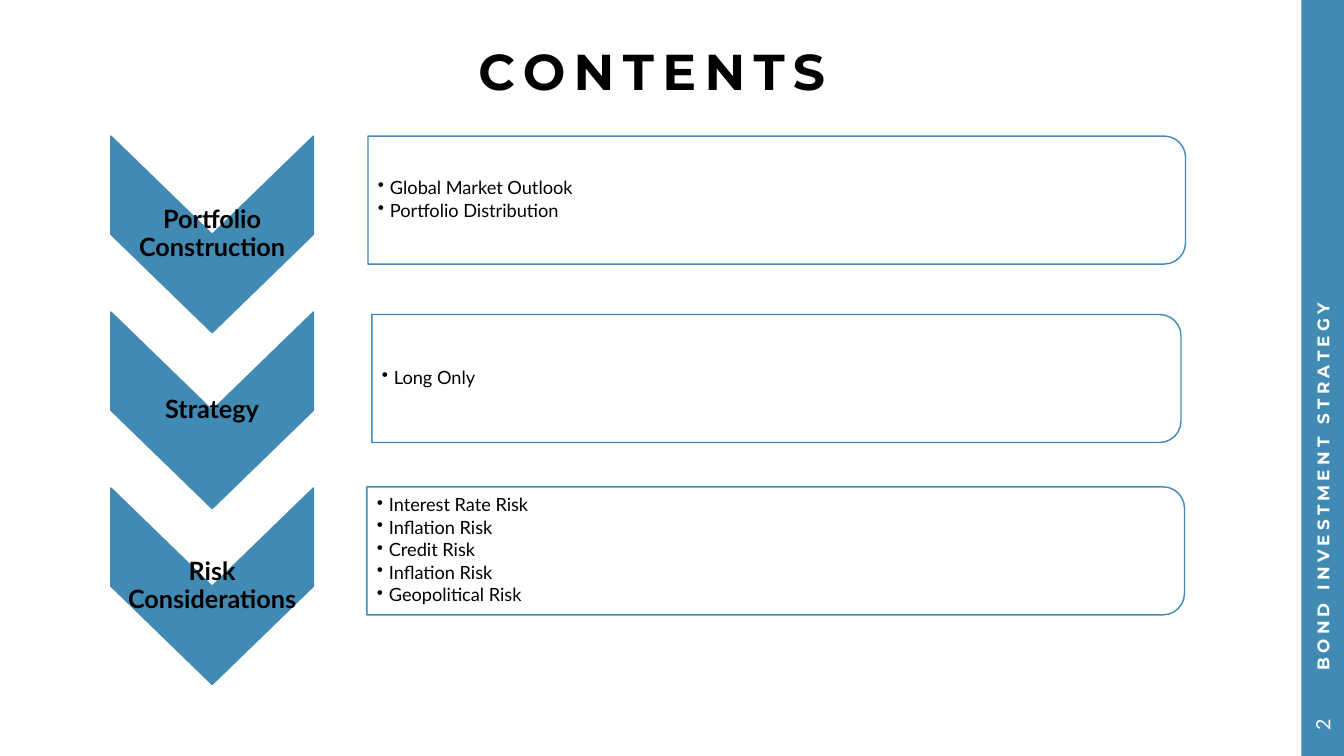
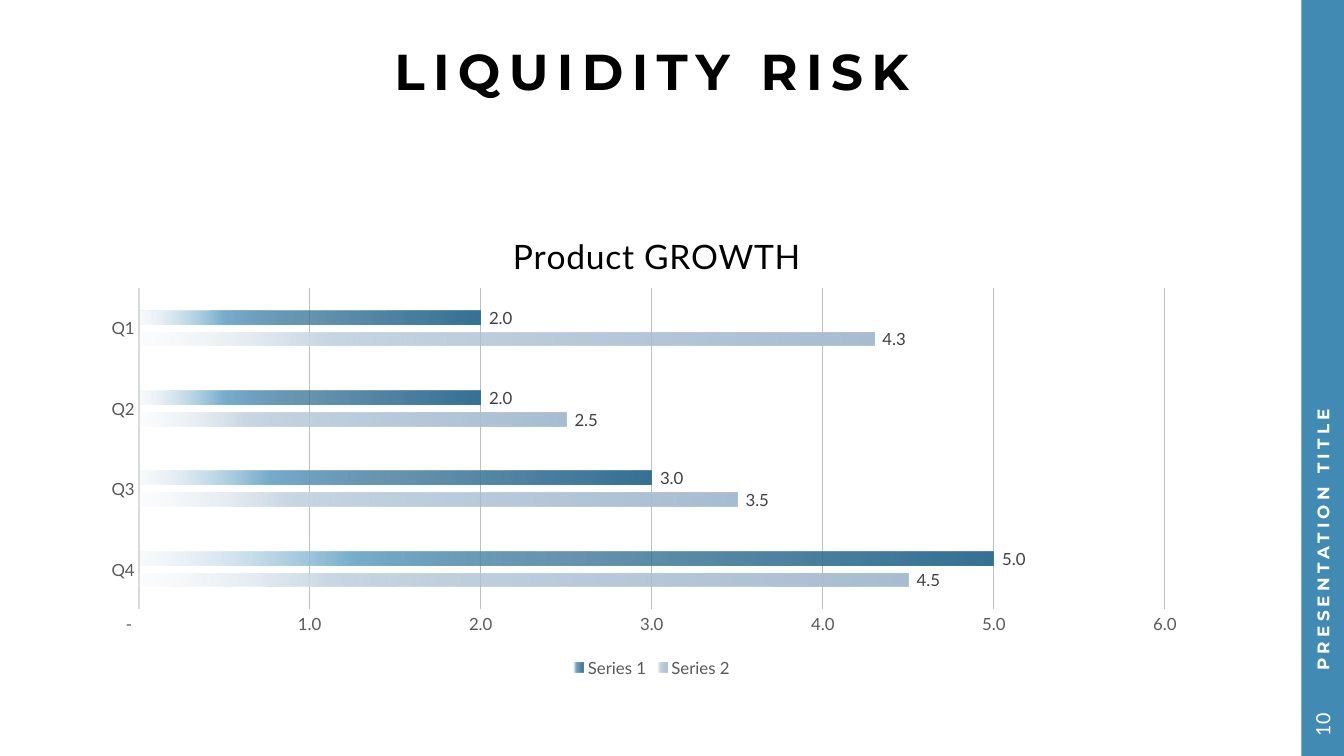
from dataclasses import dataclass
from typing import Any

import lxml.etree
import pptx
import pptx.chart.data
import pptx.dml.color
import pptx.enum.chart
import pptx.enum.shapes
import pptx.enum.text
import pptx.oxml.ns
import pptx.util

Align = pptx.enum.text.PP_ALIGN
Anchor = pptx.enum.text.MSO_ANCHOR
Preset = pptx.enum.shapes.MSO_SHAPE
ChartEnum = pptx.enum.chart
qn = pptx.oxml.ns.qn


@dataclass(frozen=True)
class Theme:
    accent: str = "418AB3"
    paper: str = "FFFFFF"
    ink: str = "000000"
    axis_text: str = "595959"
    label_text: str = "404040"
    axis_line: str = "D9D9D9"
    grid_line: str = "BFBFBF"
    heading: str = "Montserrat"
    body: str = "Lato"
    title_size: float = 36
    chart_title_size: float = 24
    label_size: float = 18
    number_size: float = 14
    bullet_size: float = 13
    small_size: float = 12


THEME = Theme()


@dataclass(frozen=True)
class Frame:
    """Percentages of the slide's width and height."""

    left: float
    top: float
    width: float
    height: float


@dataclass(frozen=True)
class TextStyle:
    font: str
    size: float
    color: str
    bold: bool = False
    spacing: float = 0
    align: Any = Align.LEFT
    line_spacing: float = 1.0
    space_after: float = 0
    bulleted: bool = False


@dataclass(frozen=True)
class Topic:
    label: str
    panel: Frame
    bullets: tuple[str, ...]


@dataclass(frozen=True)
class GradientStop:
    position: int
    color: str
    opacity: int = 100


@dataclass(frozen=True)
class BarSeries:
    name: str
    values: tuple[float, ...]
    stops: tuple[GradientStop, ...]


WIDTH, HEIGHT = pptx.util.Inches(13.333), pptx.util.Inches(7.5)
TITLE = Frame(7, 5.07, 83, 9.47)
BAND = Frame(96.83, 0, 3.17, 100)
FOOTER = Frame(96.83, 0, 3.15, 91.73)
NUMBER = Frame(96.83, 91.73, 3.15, 8.27)
CHART = Frame(7, 26.67, 83, 63.47)
CHEVRON = Frame(8.25, 18, 15.07, 26)
CHEVRON_PITCH = 23.27

TITLE_STYLE = TextStyle(THEME.heading, THEME.title_size, THEME.ink, True, 6, Align.CENTER, 0.9)
FOOTER_STYLE = TextStyle(THEME.heading, THEME.small_size, THEME.paper, True, 3)
NUMBER_STYLE = TextStyle(THEME.body, THEME.number_size, THEME.paper, align=Align.CENTER)
LABEL_STYLE = TextStyle(THEME.body, THEME.label_size, THEME.ink, True, 0, Align.CENTER, 0.9, 6.3)
BULLET_STYLE = TextStyle(THEME.body, THEME.bullet_size, THEME.ink,
                         line_spacing=0.9, space_after=2, bulleted=True)

TOPICS = (
    Topic("Portfolio Construction", Frame(27.38, 18, 60.83, 16.93),
          ("Global Market Outlook", "Portfolio Distribution")),
    Topic("Strategy", Frame(27.67, 41.6, 60.2, 16.93), ("Long Only",)),
    Topic("Risk Considerations", Frame(27.3, 64.4, 60.83, 16.93),
          ("Interest Rate Risk", "Inflation Risk", "Credit Risk", "Inflation Risk",
           "Geopolitical Risk")),
)

QUARTERS = ("Q4", "Q3", "Q2", "Q1")
NUMBER_FORMAT = '_(* #,##0.0_);_(* \\(#,##0.0\\);_(* "-"??_);_(@_)'


def fading(dark: str, middle: str, pale: str) -> tuple[GradientStop, ...]:
    return (GradientStop(0, dark), GradientStop(51, dark, 75),
            GradientStop(75, middle), GradientStop(100, pale, 15))


SERIES = (
    BarSeries("Series 2", (4.5, 3.5, 2.5, 4.3), fading("A7BED2", "CAD8E4", "EDF2F6")),
    BarSeries("Series 1", (5, 3, 2, 2), fading("367294", "78AFCE", "D2E4EF")),
)


def rgb(value: str) -> pptx.dml.color.RGBColor:
    return pptx.dml.color.RGBColor.from_string(value)


def apply(target: Any, values: dict[str, Any]) -> None:
    for name, value in values.items():
        setattr(target, name, value)


def set_font(font: Any, name: str, size: float, color: str, bold: bool = False) -> None:
    apply(font, {"name": name, "size": pptx.util.Pt(size), "bold": bold})
    font.color.rgb = rgb(color)


def add_element(parent: Any, tag: str, **attributes: Any) -> Any:
    return lxml.etree.SubElement(parent, qn(tag), {k: str(v) for k, v in attributes.items()})


def bounds(frame: Frame, turned: bool = False) -> tuple[int, int, int, int]:
    left, width = (round(WIDTH * share / 100) for share in (frame.left, frame.width))
    top, height = (round(HEIGHT * share / 100) for share in (frame.top, frame.height))
    if turned:
        left, top = left + (width - height) // 2, top + (height - width) // 2
        width, height = height, width
    return left, top, width, height


def draw_shape(page: Any, preset: Any, frame: Frame, fill: str,
               line: str | None = None, turned: bool = False) -> None:
    shape = page.shapes.add_shape(preset, *bounds(frame, turned))
    shape.shadow.inherit = False
    shape.rotation = 90 if turned else 0
    shape.fill.solid()
    shape.fill.fore_color.rgb = rgb(fill)
    if line is None:
        shape.line.fill.background()
    else:
        shape.line.color.rgb = rgb(line)
        shape.line.width = pptx.util.Pt(1)


def draw_text(page: Any, frame: Frame, lines: tuple[str, ...], style: TextStyle,
              left_inset: float = 0.01, turned: bool = False) -> None:
    box = page.shapes.add_textbox(*bounds(frame, turned))
    box.rotation = 270 if turned else 0
    inset = pptx.util.Inches(0.01)
    apply(box.text_frame, {
        "word_wrap": True, "vertical_anchor": Anchor.MIDDLE,
        "margin_left": pptx.util.Inches(left_inset),
        "margin_right": inset, "margin_top": inset, "margin_bottom": inset,
    })
    for index, line in enumerate(lines):
        para = box.text_frame.paragraphs[0] if index == 0 else box.text_frame.add_paragraph()
        apply(para, {"alignment": style.align, "line_spacing": style.line_spacing,
                     "space_after": pptx.util.Pt(style.space_after)})
        if style.bulleted:
            properties = para._p.get_or_add_pPr()
            indent = pptx.util.Inches(0.12)
            properties.set("marL", str(indent))
            properties.set("indent", str(-indent))
            add_element(properties, "a:buChar", char="•")
        span = para.add_run()
        span.text = line
        set_font(span.font, style.font, style.size, style.color, style.bold)
        if style.spacing:
            span._r.get_or_add_rPr().set("spc", str(round(style.spacing * 100)))


def add_page(deck: Any, title: str, footer: str, number: int) -> Any:
    page = deck.slides.add_slide(deck.slide_layouts[6])
    draw_shape(page, Preset.RECTANGLE, BAND, THEME.accent)
    draw_text(page, TITLE, (title,), TITLE_STYLE)
    draw_text(page, FOOTER, (footer,), FOOTER_STYLE, 0.23, True)
    draw_text(page, NUMBER, (str(number),), NUMBER_STYLE, turned=True)
    return page


def draw_topic(page: Any, topic: Topic, row: int) -> None:
    chevron = Frame(CHEVRON.left, CHEVRON.top + row * CHEVRON_PITCH,
                    CHEVRON.width, CHEVRON.height)
    draw_shape(page, Preset.CHEVRON, chevron, THEME.accent, THEME.accent, True)
    draw_text(page, chevron, (topic.label,), LABEL_STYLE)
    draw_shape(page, Preset.ROUND_2_SAME_RECTANGLE, topic.panel, THEME.paper, THEME.accent, True)
    draw_text(page, topic.panel, topic.bullets, BULLET_STYLE, 0.1)


def set_gradient(series: Any, stops: tuple[GradientStop, ...]) -> None:
    gradient = add_element(series._element.get_or_add_spPr(), "a:gradFill", rotWithShape=1)
    stop_list = add_element(gradient, "a:gsLst")
    for stop in stops:
        entry = add_element(stop_list, "a:gs", pos=stop.position * 1000)
        color = add_element(entry, "a:srgbClr", val=stop.color)
        if stop.opacity < 100:
            add_element(color, "a:alpha", val=stop.opacity * 1000)
    add_element(gradient, "a:lin", ang=180 * 60000, scaled=0)


def set_layout(parent: Any, before: str, values: dict[str, Any]) -> None:
    for old in parent.findall(qn("c:layout")):
        parent.remove(old)
    layout = lxml.etree.Element(qn("c:layout"))
    manual = add_element(layout, "c:manualLayout")
    for name, value in values.items():
        add_element(manual, f"c:{name}", val=value)
    parent.find(qn(before)).addprevious(layout)


def style_axis(axis: Any) -> None:
    apply(axis, {"major_tick_mark": ChartEnum.XL_TICK_MARK.NONE,
                 "minor_tick_mark": ChartEnum.XL_TICK_MARK.NONE})
    set_font(axis.tick_labels.font, THEME.body, THEME.small_size, THEME.axis_text)


def draw_chart(page: Any) -> None:
    data = pptx.chart.data.CategoryChartData(number_format=NUMBER_FORMAT)
    data.categories = QUARTERS
    for bars in SERIES:
        data.add_series(bars.name, bars.values)
    chart = page.shapes.add_chart(ChartEnum.XL_CHART_TYPE.BAR_CLUSTERED,
                                  *bounds(CHART), data).chart
    set_font(chart.font, THEME.body, THEME.small_size, THEME.axis_text)
    apply(chart, {"has_title": True, "has_legend": True})
    span = chart.chart_title.text_frame.paragraphs[0].add_run()
    span.text = "Product GROWTH"
    set_font(span.font, THEME.body, THEME.chart_title_size, THEME.ink)
    span._r.get_or_add_rPr().set("spc", "50")
    apply(chart.chart_title, {"include_in_layout": False})
    set_layout(chart.chart_title._element, "c:overlay",
               {"xMode": "edge", "yMode": "edge", "x": 0.37, "y": 0.05})
    apply(chart.legend, {"position": ChartEnum.XL_LEGEND_POSITION.BOTTOM,
                         "include_in_layout": False})
    set_font(chart.legend.font, THEME.body, THEME.small_size, THEME.axis_text)

    plot = chart.plots[0]
    apply(plot, {"gap_width": 326, "overlap": -58, "vary_by_categories": False})
    set_layout(chart._chartSpace.chart.plotArea, "c:barChart",
               {"layoutTarget": "inner", "xMode": "edge", "yMode": "edge",
                "x": 0.04, "y": 0.18, "w": 0.92, "h": 0.67})
    for series, bars in zip(plot.series, SERIES):
        set_gradient(series, bars.stops)
        labels = series.data_labels
        apply(labels, {"show_value": True, "number_format": NUMBER_FORMAT,
                       "number_format_is_linked": False,
                       "position": ChartEnum.XL_LABEL_POSITION.OUTSIDE_END})
        set_font(labels.font, THEME.body, THEME.small_size, THEME.label_text)

    for axis in (chart.category_axis, chart.value_axis):
        style_axis(axis)
    apply(chart.category_axis.format.line, {"width": pptx.util.Pt(1.5)})
    chart.category_axis.format.line.color.rgb = rgb(THEME.axis_line)
    values = chart.value_axis
    apply(values, {"minimum_scale": 0, "maximum_scale": 6, "major_unit": 1,
                   "has_major_gridlines": True})
    apply(values.tick_labels, {"number_format": NUMBER_FORMAT, "number_format_is_linked": False})
    values.format.line.fill.background()
    values.major_gridlines.format.line.color.rgb = rgb(THEME.grid_line)
    values.major_gridlines.format.line.width = pptx.util.Pt(0.75)


def main() -> None:
    deck = pptx.Presentation()
    apply(deck, {"slide_width": WIDTH, "slide_height": HEIGHT})
    contents = add_page(deck, "CONTENTS", "BOND INVESTMENT STRATEGY", 2)
    for row, topic in enumerate(TOPICS):
        draw_topic(contents, topic, row)
    draw_chart(add_page(deck, "LIQUIDITY RISK", "PRESENTATION TITLE", 10))
    deck.save("out.pptx")


if __name__ == "__main__":
    main()
